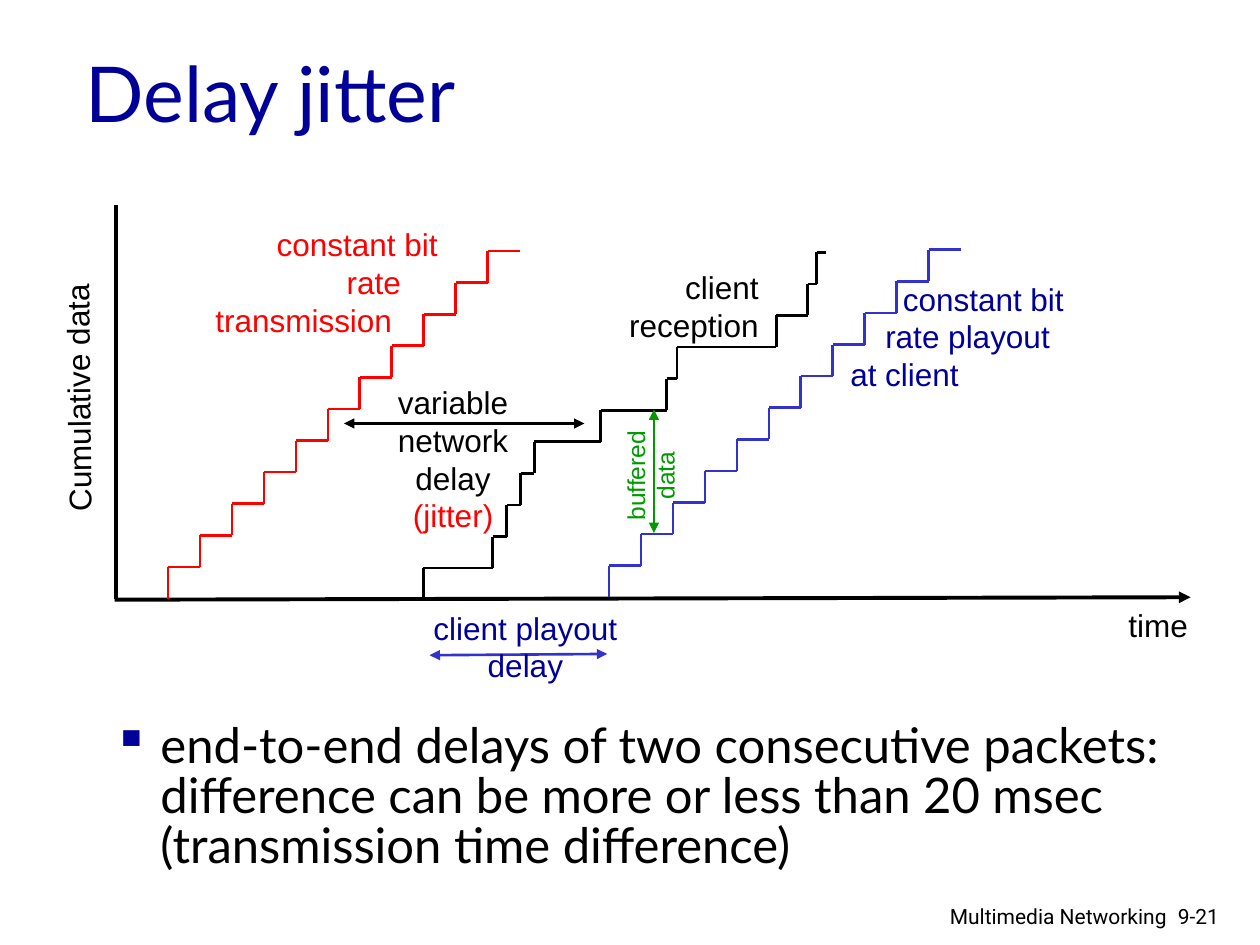
from itertools import accumulate, repeat

from lxml import etree
from pptx import Presentation
from pptx.dml.color import RGBColor
from pptx.enum import shapes, text
from pptx.oxml import ns
from pptx.util import Pt

BLACK, RED, BLUE, NAVY, GREEN = "000000", "FF0000", "3333CC", "000099", "009900"
LEFT, CENTER, RIGHT = text.PP_ALIGN.LEFT, text.PP_ALIGN.CENTER, text.PP_ALIGN.RIGHT
RISE = 18.05


def color(value):
    """Return the colour for a hex string."""
    return RGBColor.from_string(value)


def add_line(slide, start, end, stroke, width=1.5, heads=()):
    """Draw a straight line with triangles at the named ends."""
    line = slide.shapes.add_connector(
        shapes.MSO_CONNECTOR.STRAIGHT, *(Pt(value) for value in (*start, *end)))
    line.line.color.rgb = color(stroke)
    line.line.width = Pt(width)
    outline = line.line._get_or_add_ln()
    for head in heads:
        etree.SubElement(outline, ns.qn(f"a:{head}"), type="triangle")
    etree.SubElement(line._element.spPr, ns.qn("a:effectLst"))


def add_staircase(slide, left, bottom, treads, stroke):
    """Draw equal risers joined by treads of the given widths."""
    edges = list(accumulate(treads, initial=left))
    for step, (x, next_x) in enumerate(zip(edges, edges[1:])):
        y = bottom - step * RISE
        add_line(slide, (x, y), (x, y - RISE), stroke)
        add_line(slide, (x, y - RISE), (next_x, y - RISE), stroke)


def add_label(slide, box, lines, fill, size=18, font="Arial", align=LEFT,
              rotation=0, indents=()):
    """Add a text box with one paragraph per line and return its shape."""
    shape = slide.shapes.add_textbox(*(Pt(value) for value in box))
    shape.rotation = rotation
    frame = shape.text_frame
    frame.word_wrap = True
    frame.text = "\n".join(lines)
    for paragraph in frame.paragraphs:
        paragraph.alignment = align
        paragraph.font.name = font
        paragraph.font.size = Pt(size)
        paragraph.font.color.rgb = color(fill)
    for paragraph, indent in zip(frame.paragraphs, indents):
        paragraph._p.get_or_add_pPr().set("marL", str(Pt(indent)))
    return shape


def add_bullet(paragraph, fill, indent):
    """Give a paragraph a coloured square bullet and a hanging indent."""
    properties = paragraph._p.get_or_add_pPr()
    properties.set("marL", str(Pt(indent)))
    properties.set("indent", str(-Pt(indent)))
    bullet = etree.Element(ns.qn("a:buClr"))
    etree.SubElement(bullet, ns.qn("a:srgbClr"), val=fill)
    character = etree.Element(ns.qn("a:buChar"), char="▪")
    defaults = properties.find(ns.qn("a:defRPr"))
    defaults.addprevious(bullet)
    defaults.addprevious(character)


def add_chart_lines(slide):
    """Draw the axes, the three staircases and the span arrows."""
    add_line(slide, (66.2, 117.4), (66.2, 342), BLACK, 2.25)
    add_line(slide, (680.4, 341.3), (65.5, 342.7), BLACK, 2.25, ["headEnd"])
    add_staircase(slide, 96, 342, repeat(18.27, 11), RED)
    reception = (39.5, 8, 8, 7.8, 38, 37.7, 5.8, 56.8, 17.9, 5.2, 5.6)
    add_staircase(slide, 242, 342.7, reception, BLACK)
    add_staircase(slide, 348, 341.3, repeat(18.27, 11), BLUE)
    both = ["headEnd", "tailEnd"]
    add_line(slide, (196.6, 242), (334, 242), BLACK, heads=both)
    add_line(slide, (245.5, 374.4), (347, 373.7), BLUE, heads=both)
    add_line(slide, (373.7, 304.6), (373.7, 234), GREEN, heads=both)


def add_chart_labels(slide):
    """Name the axes, the staircases and the spans."""
    add_label(slide, (-32.4, 208, 154, 29), ["Cumulative data"], BLACK, rotation=269.4)
    add_label(slide, (637.7, 342.7, 52, 29), ["time"], BLACK)
    add_label(slide, (116, 125.3, 147, 73), ["constant bit", "rate", "transmission"],
              RED, indents=(35, 75, 0))
    jitter = add_label(slide, (218.4, 215.3, 81, 94),
                       ["variable", "network", "delay", "(jitter)"], BLACK, align=CENTER)
    jitter.text_frame.paragraphs[-1].font.color.rgb = color(RED)
    add_label(slide, (350.6, 149.8, 90, 51), ["client", "reception"], BLACK, align=RIGHT)
    add_label(slide, (473.8, 156.2, 147, 73), ["constant bit", "rate playout", "at client"],
              NAVY, indents=(35, 25, 5))
    add_label(slide, (234, 344.2, 132.5, 50.4), ["client playout", "delay"], NAVY, align=CENTER)
    add_label(slide, (337.6, 251.3, 68, 41), ["buffered", "data"], GREEN, 14,
              align=CENTER, rotation=270)


def main():
    """Build the slide and save it."""
    presentation = Presentation()
    presentation.slide_width, presentation.slide_height = Pt(720), Pt(540)
    slide = presentation.slides.add_slide(presentation.slide_layouts[6])
    add_chart_lines(slide)
    add_chart_labels(slide)
    title = add_label(slide, (41.8, 18, 643, 68.4), ["Delay jitter"], NAVY, 44, "Lato")
    title.text_frame.vertical_anchor = text.MSO_ANCHOR.MIDDLE
    body = add_label(slide, (57.6, 409.7, 614, 70), [
        "end-to-end delays of two consecutive packets: difference can be more "
        "or less than 20 msec (transmission time difference)"], BLACK, 28, "Lato")
    paragraph = body.text_frame.paragraphs[0]
    paragraph.line_spacing = 0.85
    add_bullet(paragraph, NAVY, 27)
    add_label(slide, (666, 512.6, 54, 21.6), ["9-21"], BLACK, 12, "Roboto")
    add_label(slide, (518.4, 512.6, 155.5, 20.2), ["Multimedia Networking"],
              BLACK, 12, "Roboto", RIGHT)
    presentation.save("out.pptx")


main()
